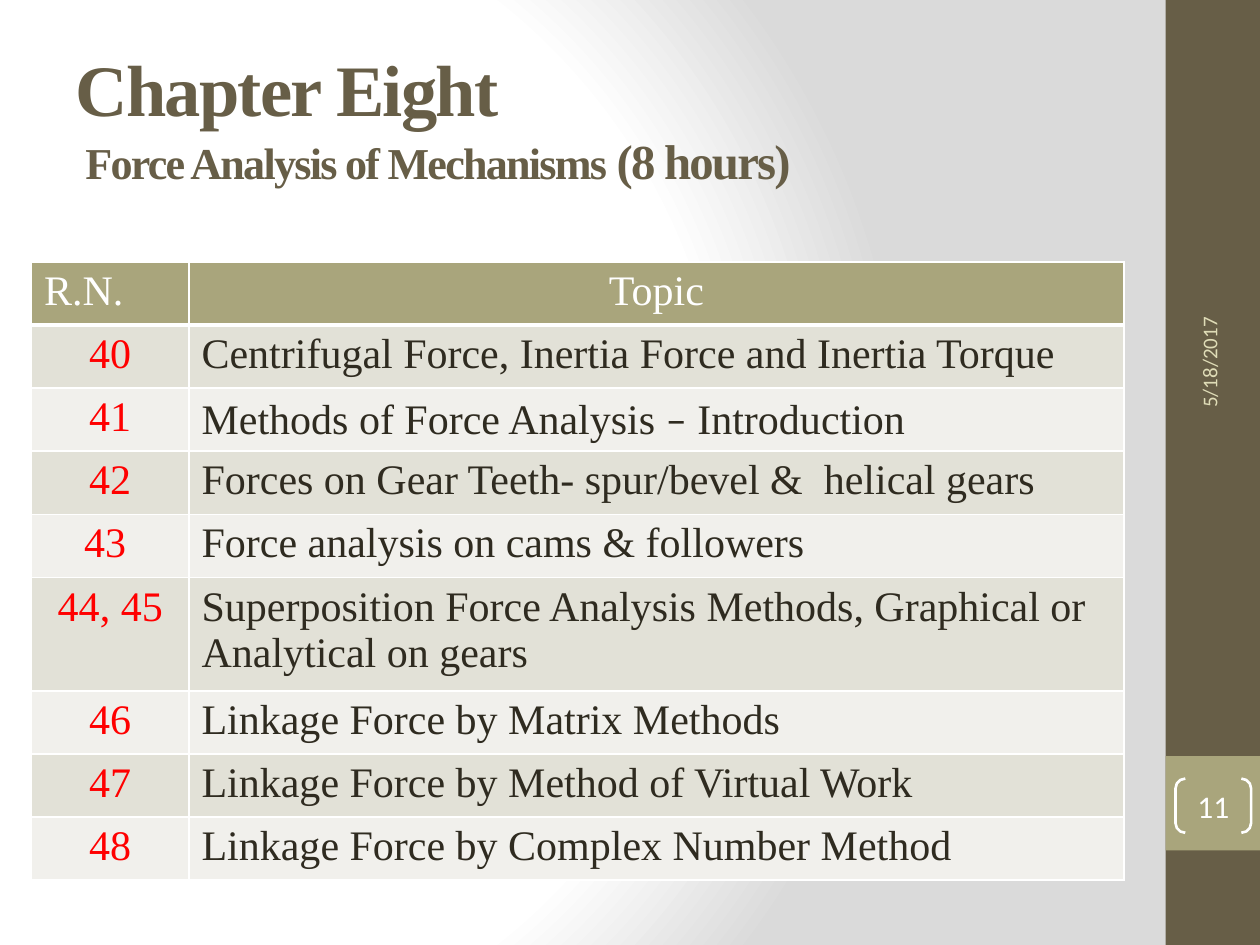
import dataclasses
import typing

import pptx
import pptx.dml.color
import pptx.enum.shapes
import pptx.enum.text
import pptx.oxml
import pptx.oxml.ns
import pptx.util

Inches = pptx.util.Inches
Pt = pptx.util.Pt
RGBColor = pptx.dml.color.RGBColor
Align = pptx.enum.text.PP_ALIGN
Anchor = pptx.enum.text.MSO_ANCHOR
Shape = pptx.enum.shapes.MSO_SHAPE

BROWN = RGBColor(0x67, 0x5E, 0x47)
OLIVE = RGBColor(0xA9, 0xA5, 0x7C)
SAND = RGBColor(0xDF, 0xDC, 0xB7)
BAND_DARK = RGBColor(0xE2, 0xE1, 0xD7)
BAND_LIGHT = RGBColor(0xF1, 0xF0, 0xEC)
INK = RGBColor(0x2F, 0x2B, 0x20)
RED = RGBColor(0xFF, 0x00, 0x00)
WHITE = RGBColor(0xFF, 0xFF, 0xFF)

SERIF = "Times New Roman"
SANS = "Calibri"
BACKDROP_STOPS = [(0, "FFFFFF"), (75, "FFFFFF"), (100, "DADADA")]


@dataclasses.dataclass
class Piece:
    text: str
    size: float
    color: RGBColor
    font: str = SERIF
    bold: bool = False


@dataclasses.dataclass
class Panel:
    top: float
    height: float
    color: RGBColor


@dataclasses.dataclass
class Lecture:
    number: str
    topic: list[str]


PANELS = [Panel(0, 7.5, BROWN), Panel(6, 0.75, OLIVE)]
LECTURES = [
    Lecture("40", ["Centrifugal Force, Inertia Force and Inertia Torque"]),
    Lecture("41", ["Methods of Force Analysis ", "–", " Introduction"]),
    Lecture("42", ["Forces on Gear Teeth- spur/bevel &  helical gears"]),
    Lecture("43 ", ["Force analysis on cams & followers"]),
    Lecture("44, 45", ["Superposition Force Analysis Methods, Graphical or Analytical on gears"]),
    Lecture("46", ["Linkage Force by Matrix Methods"]),
    Lecture("47", ["Linkage Force by Method of Virtual Work"]),
    Lecture("48", ["Linkage Force by Complex Number Method"]),
]


def apply(target: typing.Any, values: dict[str, typing.Any]) -> None:
    for name, value in values.items():
        setattr(target, name, value)


def place(shape: typing.Any, left: float, top: float, width: float, height: float) -> None:
    apply(shape, {"left": Inches(left), "top": Inches(top),
                  "width": Inches(width), "height": Inches(height)})


def write(paragraph: typing.Any, pieces: list[Piece], align: Align = Align.LEFT) -> None:
    paragraph.alignment = align
    for piece in pieces:
        run = paragraph.add_run()
        run.text = piece.text
        apply(run.font, {"size": Pt(piece.size), "name": piece.font, "bold": piece.bold})
        run.font.color.rgb = piece.color


def paint_backdrop(slide: typing.Any) -> None:
    slide.background.fill.gradient()
    gradient = slide.element.xpath(".//p:bgPr/a:gradFill")[0]
    for child in list(gradient):
        gradient.remove(child)
    stops = "".join(f'<a:gs pos="{place * 1000}"><a:srgbClr val="{color}"/></a:gs>'
                    for place, color in BACKDROP_STOPS)
    namespace = pptx.oxml.ns.nsdecls("a")
    for xml in (
        f"<a:gsLst {namespace}>{stops}</a:gsLst>",
        f'<a:path {namespace} path="circle">'
        '<a:fillToRect l="20000" t="50000" r="100000" b="50000"/></a:path>',
    ):
        gradient.append(pptx.oxml.parse_xml(xml))


def draw_panel(slide: typing.Any, panel: Panel) -> None:
    block = slide.shapes.add_shape(Shape.RECTANGLE, Inches(9.25), Inches(panel.top),
                                   Inches(0.75), Inches(panel.height))
    block.shadow.inherit = False
    block.fill.solid()
    block.fill.fore_color.rgb = panel.color
    block.line.fill.background()


def write_title(slide: typing.Any) -> None:
    title = slide.shapes.title
    place(title, 0.5, 0.3, 8.33, 1.25)
    apply(title.text_frame, {"vertical_anchor": Anchor.MIDDLE, "word_wrap": True,
                             "auto_size": pptx.enum.text.MSO_AUTO_SIZE.NONE})
    heading = title.text_frame.paragraphs[0]
    write(heading, [Piece("Chapter Eight", 41.4, BROWN, bold=True)])
    heading.add_line_break()
    write(heading, [
        Piece(" ", 25.2, BROWN, "Cambria", True),
        Piece("Force Analysis of Mechanisms ", 25.2, BROWN, bold=True),
        Piece("(8 hours)", 27.9, BROWN, bold=True),
    ])
    for run in heading.runs:
        run.font._element.set("spc", "-100")


def write_date(slide: typing.Any) -> None:
    date = slide.shapes.add_textbox(Inches(8.26), Inches(1.8), Inches(2.67), Inches(0.4))
    date.rotation = 270
    apply(date.text_frame, {"word_wrap": True, "vertical_anchor": Anchor.MIDDLE})
    write(date.text_frame.paragraphs[0], [Piece("5/18/2017", 12, SAND, SANS)])


def draw_page_number(slide: typing.Any) -> None:
    bracket = slide.shapes.add_shape(Shape.DOUBLE_BRACKET, Inches(9.33), Inches(6.18),
                                     Inches(0.6), Inches(0.43))
    bracket.shadow.inherit = False
    bracket.adjustments[0] = 0.18
    bracket.fill.background()
    bracket.line.color.rgb = WHITE
    bracket.line.width = Pt(1.5)
    apply(bracket.text_frame, {"margin_left": 0, "margin_right": 0, "margin_top": 0,
                               "margin_bottom": 0, "vertical_anchor": Anchor.MIDDLE})
    write(bracket.text_frame.paragraphs[0], [Piece("11", 18, WHITE, SANS)], Align.CENTER)


def fill_cell(cell: typing.Any, pieces: list[Piece], align: Align,
              color: RGBColor, bottom: float = 1) -> None:
    write(cell.text_frame.paragraphs[0], pieces, align)
    properties = cell._tc.get_or_add_tcPr()
    for side, width in {"L": 1, "R": 1, "T": 1, "B": bottom}.items():
        properties.append(pptx.oxml.parse_xml(
            f'<a:ln{side} {pptx.oxml.ns.nsdecls("a")} w="{Pt(width)}">'
            f'<a:solidFill><a:srgbClr val="{WHITE}"/></a:solidFill></a:ln{side}>'))
    cell.fill.solid()
    cell.fill.fore_color.rgb = color


def draw_schedule(slide: typing.Any) -> None:
    row_count = len(LECTURES) + 1
    schedule = slide.shapes.add_table(row_count, 2, Inches(0.25), Inches(2.08),
                                      Inches(8.67), Inches(0.41 * row_count)).table
    apply(schedule, {"first_row": False, "horz_banding": False})
    for column, width in zip(schedule.columns, (1.25, 7.42)):
        column.width = Inches(width)
    for column, (label, align) in enumerate([("R.N.", Align.LEFT), ("Topic", Align.CENTER)]):
        fill_cell(schedule.cell(0, column), [Piece(label, 24, WHITE)], align, OLIVE, 3)
    for row, lecture in enumerate(LECTURES, 1):
        band = BAND_DARK if row % 2 else BAND_LIGHT
        topic = [Piece(part, 24, INK, SANS if part == "–" else SERIF) for part in lecture.topic]
        fill_cell(schedule.cell(row, 0), [Piece(lecture.number, 24, RED)], Align.CENTER, band)
        fill_cell(schedule.cell(row, 1), topic, Align.LEFT, band)


def main() -> None:
    deck = pptx.Presentation()
    apply(deck, {"slide_width": Inches(10), "slide_height": Inches(7.5)})
    slide = deck.slides.add_slide(deck.slide_layouts[5])
    paint_backdrop(slide)
    for panel in PANELS:
        draw_panel(slide, panel)
    write_title(slide)
    write_date(slide)
    draw_page_number(slide)
    draw_schedule(slide)
    deck.save("out.pptx")


if __name__ == "__main__":
    main()
